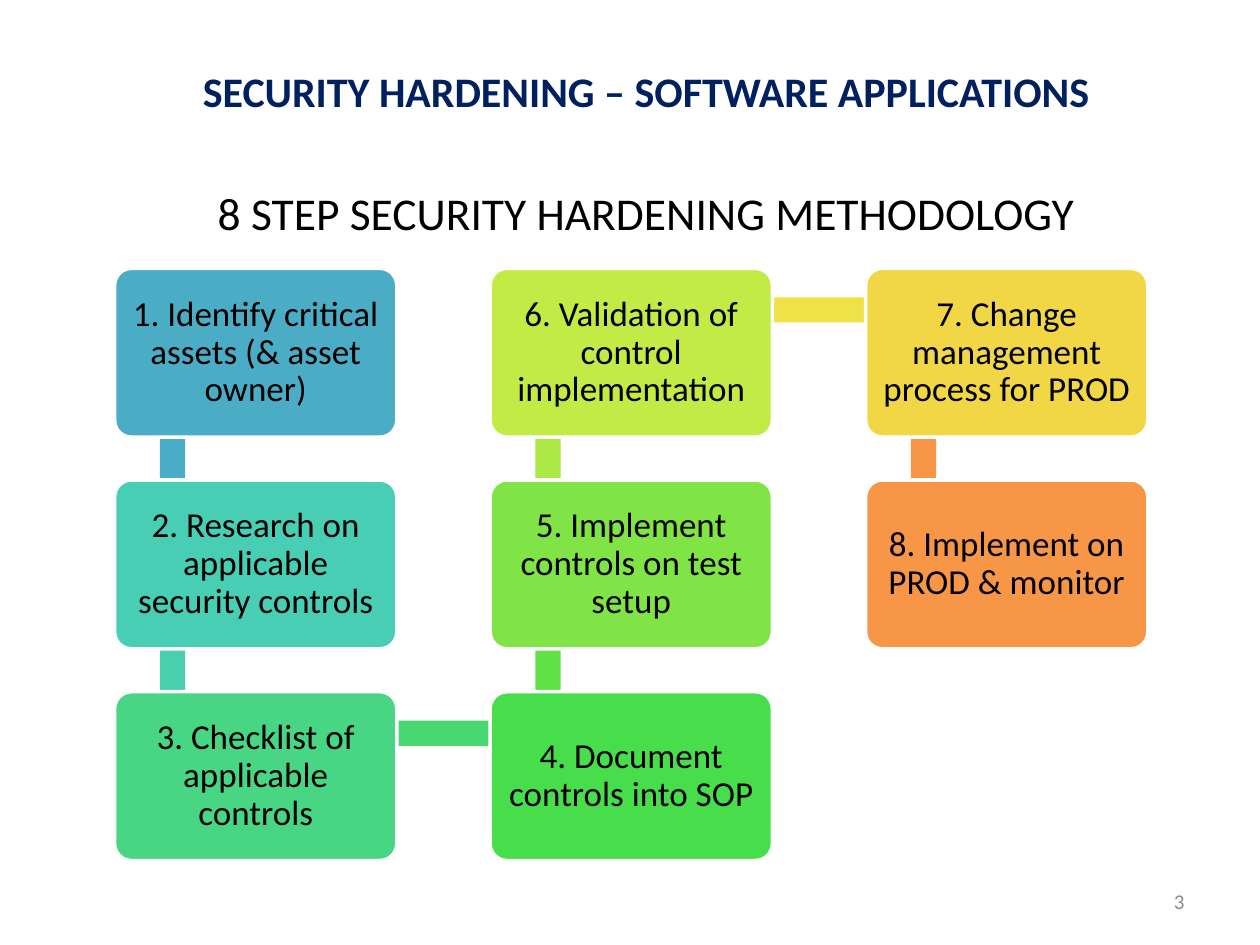
"""Build the slide on the eight step security hardening method."""
import pptx
import pptx.util
import pptx.dml.color
import pptx.enum.shapes
import pptx.enum.text

Inches = pptx.util.Inches
Shape = pptx.enum.shapes.MSO_SHAPE
Align = pptx.enum.text.PP_ALIGN
Anchor = pptx.enum.text.MSO_ANCHOR

TITLE = "SECURITY HARDENING – SOFTWARE APPLICATIONS"
HEAD = "8 STEP SECURITY HARDENING METHODOLOGY"
PAGE = "3"
STEPS = [
    ("1. Identify critical assets (& asset owner)", 0, 0, "4BACC6", "4BACC6"),
    ("2. Research on applicable security controls", 0, 1, "49CEB6", "49CFAE"),
    ("3. Checklist of applicable controls", 0, 2, "48D684", "47D872"),
    ("4. Document controls into SOP", 1, 2, "47DD4B", "60E146"),
    ("5. Implement controls on test setup", 1, 1, "80E446", "ACE946"),
    ("6. Validation of control implementation", 1, 0, "C3EB46", "F0E146"),
    ("7. Change management process for PROD", 2, 0, "F1D746", "F79646"),
    ("8. Implement on PROD & monitor", 2, 1, "F79646", None),
]
COLORS = {"title": "002060", "text": "000000", "page": "8C8C8C", "edge": "FFFFFF"}
LEFT, TOP = 0.91, 2.13
WIDE, HIGH = 2.24, 1.34
STEP_X, STEP_Y = 2.98, 1.68
PIN_X, PIN_Y = 0.46, 0.33
BAR = 0.2


def rgb(code):
    return pptx.dml.color.RGBColor.from_string(code)


def write(frame, text, size, color, align, bold=False):
    para = frame.paragraphs[0]
    para.alignment = align
    run = para.add_run()
    run.text = text
    font = run.font
    font.name, font.size, font.bold = "Calibri", pptx.util.Pt(size), bold
    font.color.rgb = rgb(color)
    return para


def block(slide, kind, box, fill):
    shape = slide.shapes.add_shape(kind, *map(Inches, box))
    shape.shadow.inherit = False
    shape.fill.solid()
    shape.fill.fore_color.rgb = rgb(fill)
    shape.line.fill.background()
    return shape


def corner(step):
    return LEFT + step[1] * STEP_X, TOP + step[2] * STEP_Y


def link(slide, start, end):
    (x1, y1), (x2, y2) = corner(start), corner(end)
    across = x1 != x2
    x = min(x1, x2) + PIN_X - (0 if across else BAR / 2)
    y = min(y1, y2) + PIN_Y - (BAR / 2 if across else 0)
    size = (abs(x2 - x1) or BAR, abs(y2 - y1) or BAR)
    block(slide, Shape.RECTANGLE, (x, y, *size), start[4])


def card(slide, step):
    box = (*corner(step), WIDE, HIGH)
    shape = block(slide, Shape.ROUNDED_RECTANGLE, box, step[3])
    shape.adjustments[0] = 0.1
    shape.line.color.rgb = rgb(COLORS["edge"])
    shape.line.width = pptx.util.Pt(2)
    frame = shape.text_frame
    frame.word_wrap = True
    frame.vertical_anchor = Anchor.MIDDLE
    frame.margin_left = frame.margin_right = Inches(0.08)
    frame.margin_top = frame.margin_bottom = Inches(0.08)
    para = write(frame, step[0], 20, COLORS["text"], Align.CENTER)
    para.line_spacing = 0.9


def main():
    deck = pptx.Presentation()
    deck.slide_width, deck.slide_height = Inches(10), Inches(7.5)
    slide = deck.slides.add_slide(deck.slide_layouts[5])

    title = slide.shapes.title
    title.left, title.top = Inches(0.63), Inches(0.23)
    title.width, title.height = Inches(9), Inches(0.98)
    title.text_frame.vertical_anchor = Anchor.MIDDLE
    write(title.text_frame, TITLE, 24, COLORS["title"], Align.CENTER, True)

    for step, after in zip(STEPS, STEPS[1:] + [None]):
        if after:
            link(slide, step, after)
        card(slide, step)

    head = slide.shapes.add_textbox(*map(Inches, (1.63, 1.42, 7.06, 0.54)))
    head.text_frame.word_wrap = False
    head.text_frame.auto_size = pptx.enum.text.MSO_AUTO_SIZE.SHAPE_TO_FIT_TEXT
    write(head.text_frame, HEAD, 26, COLORS["text"], Align.LEFT)

    page = slide.shapes.add_textbox(*map(Inches, (7.17, 6.95, 2.33, 0.4)))
    page.text_frame.word_wrap = True
    page.text_frame.vertical_anchor = Anchor.MIDDLE
    write(page.text_frame, PAGE, 12, COLORS["page"], Align.RIGHT)

    deck.save("out.pptx")


if __name__ == "__main__":
    main()
